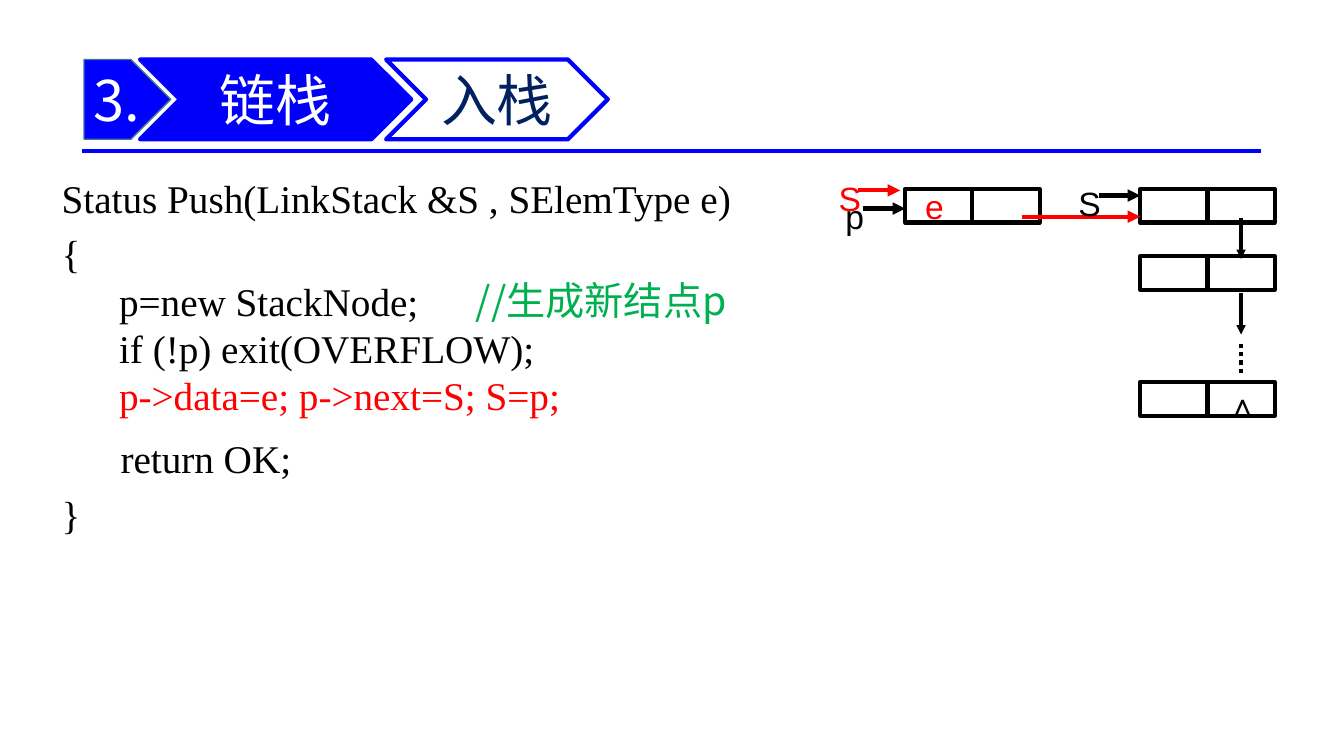
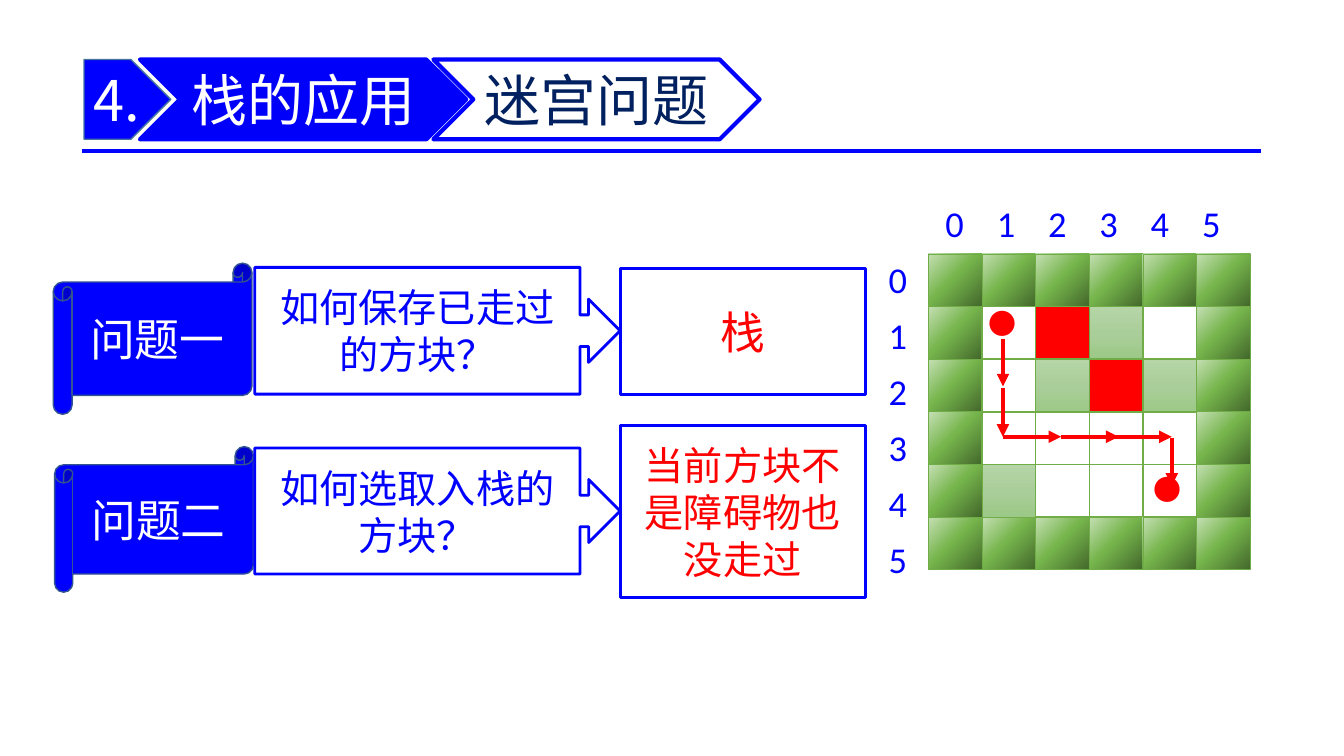
import pptx
import pptx.util
import pptx.dml.color
import pptx.enum.dml
import pptx.enum.shapes
import pptx.enum.text
import pptx.oxml
import pptx.oxml.ns
import lxml.etree

Pt = pptx.util.Pt
SHAPE = pptx.enum.shapes.MSO_SHAPE
ALIGN = pptx.enum.text.PP_ALIGN
ANCHOR = pptx.enum.text.MSO_ANCHOR
qn = pptx.oxml.ns.qn

COLORS = {
    "blue": "0000FF", "band": "0000FA", "navy": "002060", "steel": "43739E",
    "scroll": "325491", "white": "FFFFFF", "black": "000000", "red": "FF0000",
    "comment": "00B050", "grid": "70AD47",
}
GRADIENTS = {
    "wall": ([(0, "C5E0B4"), (46, "76B54C"), (100, "43682B")],
             '<a:path path="circle"><a:fillToRect r="100000" b="100000"/></a:path>'),
    "pale": ([(0, "B5D5A7"), (50, "AACE9A"), (100, "9CC987")],
             '<a:lin ang="5400000" scaled="0"/>'),
}
CJK, SERIF, SANS, DIGITS = "Noto Sans CJK SC", "Times New Roman", "Arial", "Calibri"
LINE_PITCH = 33.6

BAND_TOP, BAND_HEIGHT = 42.5, 57
BAND_LEFT = 100

NODE_WIDTH, NODE_HEIGHT = 96, 24

MAZE_LEFT, MAZE_TOP = 663.2, 181.4
CELL_WIDTH, CELL_HEIGHT = 38.3, 37.6
MAZE = ["######",
        "#.r+.#",
        "#.+r+#",
        "#....#",
        "#+...#",
        "######"]
CELL_FILLS = {"#": "wall", "+": "pale", ".": "white", "r": "red"}


def rgb(color):
    return pptx.dml.color.RGBColor.from_string(COLORS[color])


def format_paragraph(p, size, color, font, align=ALIGN.CENTER, pitch=None):
    p.alignment = align
    if pitch:
        p.line_spacing = Pt(pitch)
    for r in p.runs:
        r.font.size = Pt(size)
        r.font.bold = False
        r.font.name = font
        r.font.color.rgb = rgb(color)
        ea = lxml.etree.SubElement(r.font._element, qn("a:ea"))
        ea.set("typeface", font)


def set_frame(tf, margins=(7.2, 3.6), anchor=ANCHOR.MIDDLE):
    tf.word_wrap = True
    tf.auto_size = pptx.enum.text.MSO_AUTO_SIZE.NONE
    tf.vertical_anchor = anchor
    tf.margin_left = tf.margin_right = Pt(margins[0])
    tf.margin_top = tf.margin_bottom = Pt(margins[1])


def fill_gradient(sp, name):
    stops, direction = GRADIENTS[name]
    gs = "".join(f'<a:gs pos="{pos * 1000}"><a:srgbClr val="{color}"/></a:gs>'
                 for pos, color in stops)
    sp.fill.gradient()
    old = sp.element.spPr.find(qn("a:gradFill"))
    new = pptx.oxml.parse_xml(
        f'<a:gradFill {pptx.oxml.ns.nsdecls("a")} rotWithShape="1">'
        f'<a:gsLst>{gs}</a:gsLst>{direction}</a:gradFill>')
    old.getparent().replace(old, new)


def add_box(s, kind, box, fill, line, width, text=None, size=28, color="blue", pitch=None,
            align=ALIGN.CENTER):
    """Add a preset shape; fill is the name of a colour or of a gradient."""
    sp = s.shapes.add_shape(kind, *map(Pt, box))
    sp.shadow.inherit = False
    if fill in GRADIENTS:
        fill_gradient(sp, fill)
    else:
        sp.fill.solid()
        sp.fill.fore_color.rgb = rgb(fill)
    sp.line.color.rgb = rgb(line)
    sp.line.width = Pt(width)
    if text:
        set_frame(sp.text_frame)
        sp.text_frame.text = text
        format_paragraph(sp.text_frame.paragraphs[0], size, color, CJK, align, pitch)
    return sp


def add_text(s, box, text, size, color, font, align=ALIGN.CENTER, pitch=None,
             margins=(7.2, 3.6), anchor=ANCHOR.TOP):
    sp = s.shapes.add_textbox(*map(Pt, box))
    set_frame(sp.text_frame, margins, anchor)
    sp.text_frame.text = text
    format_paragraph(sp.text_frame.paragraphs[0], size, color, font, align, pitch)
    return sp


def add_line(s, start, end, color="black", width=3, arrow=False):
    c = s.shapes.add_connector(pptx.enum.shapes.MSO_CONNECTOR.STRAIGHT,
                               *map(Pt, (*start, *end)))
    c.line.color.rgb = rgb(color)
    c.line.width = Pt(width)
    if arrow:
        tail = lxml.etree.SubElement(c.line._get_or_add_ln(), qn("a:tailEnd"))
        tail.set("type", "triangle")
    lxml.etree.SubElement(c.element.spPr, qn("a:effectLst"))
    return c


def add_titled_slide(prs, number, title, title_width, topic, topic_left, topic_width):
    """Add a slide with the number tag, title band, topic band and rule."""
    s = prs.slides.add_slide(prs.slide_layouts[5])
    add_line(s, (58.3, 108), (900.7, 108), "blue")
    add_box(s, SHAPE.PENTAGON, (60, BAND_TOP, 62, BAND_HEIGHT), "blue", "steel", 1,
            number, 40, "white", align=ALIGN.LEFT)
    band = (BAND_LEFT, BAND_TOP, title_width, BAND_HEIGHT)
    add_box(s, SHAPE.CHEVRON, band, "band", "blue", 3)
    add_box(s, SHAPE.CHEVRON, (topic_left, BAND_TOP, topic_width, BAND_HEIGHT),
            "white", "blue", 3, topic, 40, "navy")
    sp = s.shapes.title
    sp.left, sp.top, sp.width, sp.height = map(Pt, band)
    set_frame(sp.text_frame, (0, 0))
    sp.text_frame.text = title
    format_paragraph(sp.text_frame.paragraphs[0], 40, "white", CJK)
    sp.element.getparent().append(sp.element)  # bring in front of its band
    return s


def add_code(s):
    lines = [  # text, indent, space before, space after, colour
        ("Status Push(LinkStack &S , SElemType e)", 0, 0, 0, "black"),
        ("{", 0, 6, 0, "black"),
        ("p=new StackNode;", 41, 0, 0, "black"),
        ("if (!p) exit(OVERFLOW);", 41, 0, 0, "black"),
        ("p->data=e; p->next=S; S=p;", 41, 0, 6, "red"),
        ("return OK;", 42, 6, 6, "black"),
        ("}", 0, 0, 0, "black"),
    ]
    sp = s.shapes.add_textbox(Pt(37), Pt(121), Pt(533), Pt(276))
    tf = sp.text_frame
    set_frame(tf, anchor=ANCHOR.TOP)
    tf.text = "\n".join(text for text, *_ in lines)
    for p, (_, indent, before, after, color) in zip(tf.paragraphs, lines):
        format_paragraph(p, 28, color, SERIF, ALIGN.LEFT, LINE_PITCH)
        p.space_before, p.space_after = Pt(before), Pt(after)
        p._p.get_or_add_pPr().set("marL", str(Pt(indent)))
    add_text(s, (332.8, 194, 230, 41), "//生成新结点p", 28, "comment", CJK,
             ALIGN.LEFT, LINE_PITCH)


def add_node(s, left, top):
    add_box(s, SHAPE.RECTANGLE, (left, top, NODE_WIDTH, NODE_HEIGHT), "white", "black", 3)
    middle = left + NODE_WIDTH / 2
    add_line(s, (middle, top), (middle, top + NODE_HEIGHT))


def add_linked_stack(s):
    add_node(s, 646.6, 135)
    for top in (135, 183, 273):
        add_node(s, 814.5, top)
    link = 886.5
    for top in (155.5, 209.5):
        add_line(s, (link, top), (link, top + 29.5), width=2.25, arrow=True)
    dots = add_line(s, (link, 245.5), (link, 269.3))
    dots.line.dash_style = pptx.enum.dml.MSO_LINE.ROUND_DOT
    dots.line._get_or_add_ln().find(qn("a:prstDash")).set("val", "sysDot")
    for left, right, y, color in [(616.3, 646.6, 149, "black"), (785, 814.5, 139.7, "black"),
                                  (730, 814.5, 154.8, "red"), (612.7, 643, 136, "red")]:
        add_line(s, (left, y), (right, y), color, arrow=True)
    for text, left, top, color in [("p", 592.5, 136.5, "black"), ("∧", 868.5, 271, "black"),
                                   ("S", 760.3, 127, "black"), ("e", 649.5, 129.5, "red"),
                                   ("S", 589, 123.7, "red")]:
        add_text(s, (left, top, 36, 36), text, 24, color, SANS)


def add_maze(s):
    for row, cells in enumerate(MAZE):
        for col, mark in enumerate(cells):
            fill = CELL_FILLS[mark]
            box = (MAZE_LEFT + col * CELL_WIDTH, MAZE_TOP + row * CELL_HEIGHT,
                   CELL_WIDTH, CELL_HEIGHT)
            add_box(s, SHAPE.RECTANGLE, box, fill, "grid", 0.5 if fill in GRADIENTS else 1)
    for i in range(len(MAZE)):
        for x, y in [(682 + 36.65 * i, 159), (641.4, 199 + 40 * i)]:
            add_text(s, (x - 15, y - 18, 30, 36), str(i), 26, "blue", DIGITS,
                     margins=(0, 0), anchor=ANCHOR.MIDDLE)
    for left, top in [(706, 219), (824.3, 337.5)]:
        add_text(s, (left, top, 24, 29), "●", 20, "red", CJK, ALIGN.LEFT, margins=(0, 0))
    for start, end in [((716.4, 242), (716.4, 276)), ((716.4, 277), (716.4, 312)),
                       ((716.4, 312), (758, 312)), ((758, 312), (799, 312)),
                       ((796, 312), (837, 312)), ((837, 313), (837, 347))]:
        add_line(s, start, end, "red", arrow=True)


def add_question(s, label, question, answer, scroll, callout, answer_box, size):
    add_box(s, SHAPE.HORIZONTAL_SCROLL, scroll, "blue", "scroll", 1, label, 32, "white")
    sp = add_box(s, SHAPE.RIGHT_ARROW_CALLOUT, callout, "white", "blue", 2,
                 question, 28, "blue", LINE_PITCH)
    for i, value in enumerate((0.25, 0.25, 0.25, 0.89)):
        sp.adjustments[i] = value
    add_box(s, SHAPE.RECTANGLE, answer_box, "white", "blue", 2, answer, size, "red",
            LINE_PITCH if size == 28 else None)


def main():
    prs = pptx.Presentation()
    prs.slide_width, prs.slide_height = Pt(960), Pt(540)

    s = add_titled_slide(prs, "3.", "链栈", 193.7, "入栈", 275.8, 158.4)
    add_code(s)
    add_linked_stack(s)

    s = add_titled_slide(prs, "4.", "栈的应用", 233, "迷宫问题", 309.6, 233)
    add_maze(s)
    add_question(s, "问题一", "如何保存已走过的方块？", "栈", (38, 188, 142, 108),
                 (182, 191, 261, 90.5), (443, 192, 175, 90), 32)
    add_question(s, "问题二", "如何选取入栈的方块？", "当前方块不是障碍物也没走过",
                 (39, 319, 142, 104), (182, 320, 261, 90), (443, 304, 175, 123), 28)
    prs.save("out.pptx")


if __name__ == "__main__":
    main()
